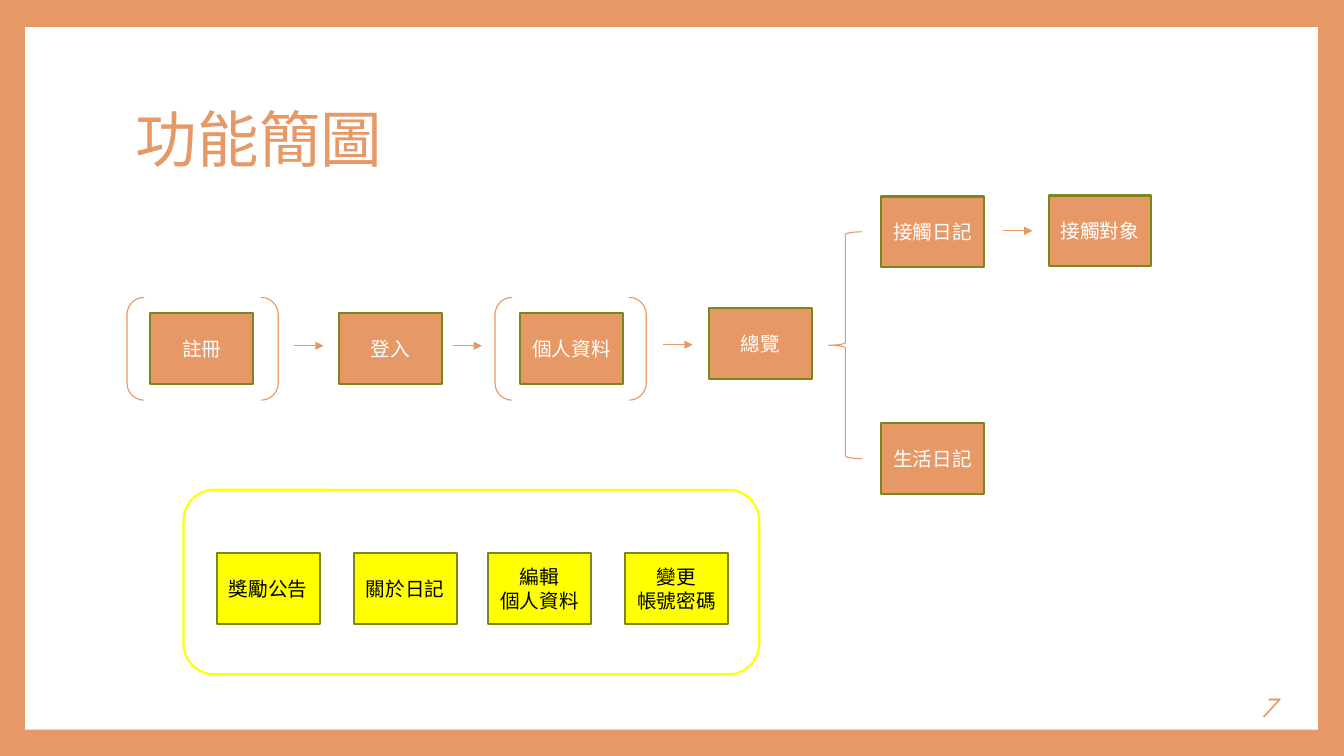
from dataclasses import dataclass

from lxml import etree
from pptx import Presentation
from pptx.dml.color import RGBColor
from pptx.enum.shapes import MSO_CONNECTOR, MSO_SHAPE
from pptx.enum.text import MSO_ANCHOR, PP_ALIGN
from pptx.oxml.ns import qn
from pptx.util import Inches, Pt

RECT = MSO_SHAPE.RECTANGLE
ROUND = MSO_SHAPE.ROUNDED_RECTANGLE
PAIR = MSO_SHAPE.DOUBLE_BRACKET
BRACE = MSO_SHAPE.LEFT_BRACE
STRAIGHT = MSO_CONNECTOR.STRAIGHT
LEFT, CENTER, RIGHT = PP_ALIGN.LEFT, PP_ALIGN.CENTER, PP_ALIGN.RIGHT
MIDDLE = MSO_ANCHOR.MIDDLE

HUES = {
    "orange": "E69966",
    "olive": "7B871D",
    "yellow": "FFFF00",
    "white": "FFFFFF",
    "black": "000000",
}
HEAD_FONT = "League Spartan"
BODY_FONT = "Noto Sans CJK SC"
BOX_W, BOX_H = 1.02, 0.7
THIN, THICK = 0.79, 1.5


@dataclass
class Box:
    text: str
    left: float
    top: float
    fill: str = "orange"
    ink: str = "white"


@dataclass
class Arrow:
    left: float
    top: float
    width: float = 0.29


@dataclass
class Frame:
    kind: int
    left: float
    top: float
    width: float
    height: float
    line: str = "orange"
    weight: float = THIN


STEPS = [
    Box("註冊", 1.49, 3.11),
    Box("登入", 3.36, 3.11),
    Box("個人資料", 5.16, 3.11),
    Box("總覽", 7.03, 3.06),
    Box("接觸日記", 8.74, 1.95),
    Box("接觸對象", 10.4, 1.94),
    Box("生活日記", 8.74, 4.2),
]
MENU = [
    Box(text, left, 5.49, "yellow", "black")
    for text, left in [
        ("獎勵公告", 2.15),
        ("關於日記", 3.51),
        ("編輯\n個人資料", 4.84),
        ("變更\n帳號密碼", 6.2),
    ]
]
ARROWS = [
    Arrow(2.92, 3.43),
    Arrow(4.49, 3.43),
    Arrow(6.58, 3.42),
    Arrow(9.95, 2.29),
]
FRAMES = [
    Frame(PAIR, 1.26, 2.95, 1.5, 1.02),
    Frame(PAIR, 4.91, 2.95, 1.5, 1.02),
    Frame(BRACE, 8.22, 2.3, 0.33, 2.25),
    Frame(ROUND, 1.82, 4.86, 5.71, 1.83, "yellow", THICK),
]


def hue(name: str) -> RGBColor:
    return RGBColor.from_string(HUES[name])


def write(shape, text: str, *, size: float, color: str, font: str = BODY_FONT,
          align=CENTER, italic: bool = False, space: float = 1.0) -> None:
    frame = shape.text_frame
    frame.word_wrap = True
    frame.vertical_anchor = MIDDLE
    for num, line in enumerate(text.split("\n")):
        para = frame.add_paragraph() if num else frame.paragraphs[0]
        para.alignment = align
        para.line_spacing = space
        run = para.add_run()
        run.text = line
        run.font.size = Pt(size)
        run.font.name = font
        run.font.italic = italic
        run.font.color.rgb = hue(color)
        # East Asian glyphs take their own font setting
        east = etree.SubElement(run.font._element, qn("a:ea"))
        east.set("typeface", font)


def add_form(slide, kind: int, left: float, top: float, width: float,
             height: float, fill: str = "", line: str = "",
             weight: float = THIN):
    form = slide.shapes.add_shape(
        kind, Inches(left), Inches(top), Inches(width), Inches(height))
    form.shadow.inherit = False
    if fill:
        form.fill.solid()
        form.fill.fore_color.rgb = hue(fill)
    else:
        form.fill.background()
    if line:
        form.line.color.rgb = hue(line)
        form.line.width = Pt(weight)
    else:
        form.line.fill.background()
    return form


def add_box(slide, box: Box) -> None:
    form = add_form(slide, RECT, box.left, box.top, BOX_W, BOX_H,
                    box.fill, "olive", THICK)
    write(form, box.text, size=14, color=box.ink)


def add_frame(slide, item: Frame) -> None:
    add_form(slide, item.kind, item.left, item.top, item.width, item.height,
             line=item.line, weight=item.weight)


def add_arrow(slide, arrow: Arrow) -> None:
    link = slide.shapes.add_connector(
        STRAIGHT, Inches(arrow.left), Inches(arrow.top),
        Inches(arrow.left + arrow.width), Inches(arrow.top))
    link.line.color.rgb = hue("orange")
    link.line.width = Pt(THIN)
    tip = etree.SubElement(link.line._get_or_add_ln(), qn("a:tailEnd"))
    tip.set("type", "triangle")
    etree.SubElement(link._element.spPr, qn("a:effectLst"))


def add_label(slide, text: str, left: float, top: float, width: float,
              height: float, **style) -> None:
    label = slide.shapes.add_textbox(
        Inches(left), Inches(top), Inches(width), Inches(height))
    write(label, text, font=HEAD_FONT, color="orange", **style)


def main() -> None:
    deck = Presentation()
    deck.slide_width, deck.slide_height = Inches(13.33), Inches(7.5)
    slide = deck.slides.add_slide(deck.slide_layouts[6])

    # Border and page
    slide.background.fill.solid()
    slide.background.fill.fore_color.rgb = hue("orange")
    add_form(slide, RECT, 0.25, 0.27, 12.82, 6.97, "white")

    # Title and page number
    add_label(slide, "功能簡圖", 1.25, 0.67, 10.8, 1.48,
              size=44, align=LEFT, space=0.9)
    add_label(slide, "7", 10.88, 6.81, 1.87, 0.4,
              size=20, align=RIGHT, italic=True)

    # Flow and menu
    for box in STEPS + MENU:
        add_box(slide, box)
    for arrow in ARROWS:
        add_arrow(slide, arrow)
    for item in FRAMES:
        add_frame(slide, item)

    deck.save("out.pptx")


if __name__ == "__main__":
    main()
